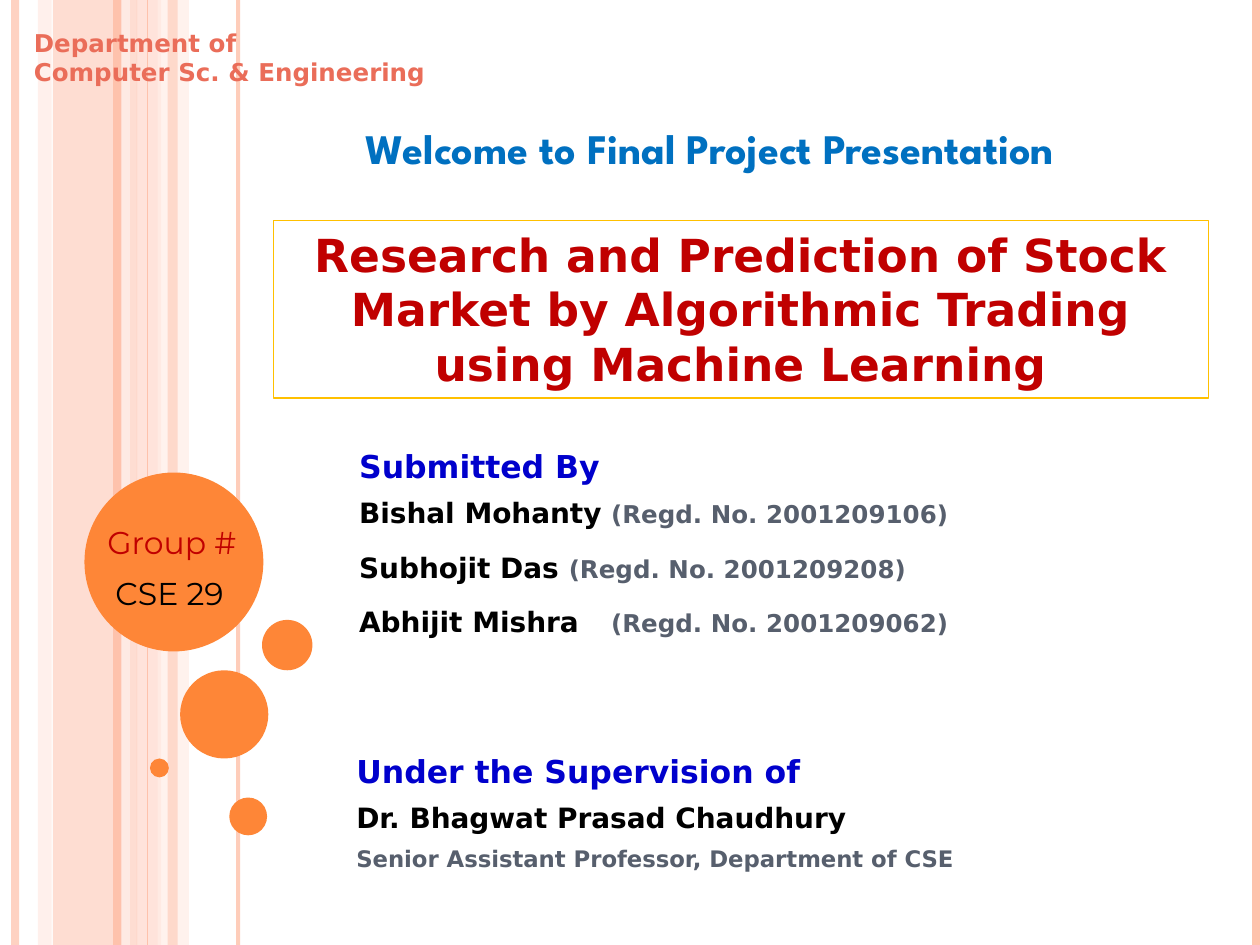
from lxml.etree import SubElement
from pptx import Presentation
from pptx.dml.color import RGBColor
from pptx.enum.shapes import MSO_CONNECTOR, MSO_SHAPE
from pptx.enum.text import MSO_ANCHOR, MSO_AUTO_SIZE, PP_ALIGN
from pptx.oxml.ns import qn
from pptx.util import Inches, Pt

HUES = {"peach": "FEC2AC", "pink": "FFD8CC", "pale": "FFEDE7",
        "orange": "FE8637", "coral": "EA6D59", "navy": "0000CC",
        "sky": "0070C0", "red": "C00000", "gold": "FFC000",
        "slate": "575F6D", "black": "000000", "white": "FFFFFF"}
SANS = "DejaVu Sans"
TALL = 7.5

# left, width, hue, opacity in percent
BANDS = [(0.42, 0.67, "peach", 54), (0.3, 0.11, "pink", 36),
         (1.08, 0.2, "pink", 70), (1.25, 0.25, "pale", 71)]
FRONT = [(1.33, 0.08, "peach", 51)]
# x, points, hue, opacity in percent
RULES = [(0.12, 4.5, "peach", 73), (1, 4.5, "pale", 83),
         (0.93, 4.5, "peach", 100), (1.89, 2.25, "peach", 82),
         (1.17, 0.75, "peach", 100), (9.97, 4.5, "peach", 100)]
# left, top, diameter
DOTS = [(0.67, 3.75, 1.42), (1.43, 5.32, 0.7), (1.19, 6.02, 0.15),
        (1.82, 6.33, 0.3), (2.08, 4.92, 0.4)]
TEAM = [("Bishal Mohanty\t", "2001209106"), ("Subhojit Das ", "2001209208"),
        ("Abhijit Mishra\t", "2001209062")]


def rgb(hue):
    return RGBColor.from_string(HUES[hue])


def paint(fill, hue, alpha=100):
    """Fill with a hue at an opacity in percent."""
    fill.solid()
    fill.fore_color.rgb = rgb(hue)
    if alpha < 100:
        tint = fill._xPr.find(qn("a:solidFill"))[0]
        SubElement(tint, qn("a:alpha"), val=str(alpha * 1000))


def add_form(slide, kind, box, hue, alpha=100):
    form = slide.shapes.add_shape(kind, *map(Inches, box))
    form.shadow.inherit = False
    paint(form.fill, hue, alpha)
    form.line.fill.background()


def add_rule(slide, x, width, hue, alpha):
    rule = slide.shapes.add_connector(
        MSO_CONNECTOR.STRAIGHT, Inches(x), 0, Inches(x), Inches(TALL))
    rule.line.width = Pt(width)
    paint(rule.line.fill, hue, alpha)
    SubElement(rule._element.spPr, qn("a:effectLst"))


def add_bands(slide, bands):
    for left, width, hue, alpha in bands:
        add_form(slide, MSO_SHAPE.RECTANGLE, (left, 0, width, TALL), hue, alpha)


def add_decor(slide):
    add_bands(slide, BANDS)
    for rule in RULES:
        add_rule(slide, *rule)
    add_bands(slide, FRONT)
    for left, top, size in DOTS:
        add_form(slide, MSO_SHAPE.OVAL, (left, top, size, size), "orange")


def style(font, size, hue, face=SANS, bold=True):
    font.size, font.name, font.bold = Pt(size), face, bold
    font.color.rgb = rgb(hue)


def set_frame(shape, anchor=MSO_ANCHOR.TOP):
    frame = shape.text_frame
    frame.word_wrap = True
    frame.auto_size = MSO_AUTO_SIZE.NONE
    frame.vertical_anchor = anchor
    return frame


def set_lines(frame, lines, align=PP_ALIGN.LEFT, face=SANS, bold=True):
    """Write lines given as (text, size, hue, space before)."""
    for i, (text, size, hue, gap) in enumerate(lines):
        para = frame.add_paragraph() if i else frame.paragraphs[0]
        para.text = text
        para.alignment = align
        para.space_before = Pt(gap)
        style(para.font, size, hue, face, bold)


def add_text(slide, box, lines, **look):
    shape = slide.shapes.add_textbox(*map(Inches, box))
    set_lines(set_frame(shape), lines, **look)


def move(shape, box):
    shape.left, shape.top, shape.width, shape.height = map(Inches, box)


def set_title(shape, box):
    move(shape, box)
    shape.line.color.rgb = rgb("gold")
    shape.line.width = Pt(0.75)
    text = ("Research and Prediction of Stock Market by "
            "Algorithmic Trading using Machine Learning")
    set_lines(set_frame(shape), [(text, 26, "red", 0)], align=PP_ALIGN.CENTER)


def set_team(shape, box):
    move(shape, box)
    frame = set_frame(shape)
    set_lines(frame, [("Submitted By", 18, "navy", 0)])
    for i, (name, code) in enumerate(TEAM):
        para = frame.add_paragraph()
        para.alignment = PP_ALIGN.LEFT
        para.space_before = Pt(12 if i else 6)
        for text, size, hue in ((name, 16, "black"),
                                (f"(Regd. No. {code})", 14, "slate")):
            run = para.add_run()
            run.text = text
            style(run.font, size, hue)


def add_badge(slide, left, top):
    look = {"align": PP_ALIGN.CENTER, "face": "Montserrat", "bold": False}
    add_text(slide, (left, top, 1.33, 0.4),
             [("Group #", 18, "red", 0)], **look)
    add_text(slide, (left + 0.02, top + 0.41, 1.25, 0.4),
             [("CSE 29", 18, "black", 0)], **look)


def main():
    deck = Presentation()
    deck.slide_width, deck.slide_height = Inches(10), Inches(TALL)
    slide = deck.slides.add_slide(deck.slide_layouts[0])
    paint(slide.background.fill, "white")
    add_decor(slide)
    set_title(slide.shapes.title, (2.17, 1.75, 7.42, 1.41))
    set_team(slide.placeholders[1], (2.75, 3.5, 6.08, 1.92))
    add_text(slide, (0.17, 0.17, 3.33, 0.57),
             [("Department of", 14, "coral", 0),
              ("Computer Sc. & Engineering", 14, "coral", 0)])
    add_text(slide, (2.44, 0.92, 6.39, 0.5),
             [("Welcome to Final Project Presentation", 24, "sky", 0)],
             align=PP_ALIGN.CENTER, face="League Spartan")
    add_text(slide, (2.73, 5.92, 5.3, 1.17),
             [("Under the Supervision of", 18, "navy", 0),
              ("Dr. Bhagwat Prasad Chaudhury", 16, "black", 6),
              ("Senior Assistant Professor, Department of CSE",
               13, "slate", 6)])
    add_badge(slide, 0.7, 4.1)
    deck.save("out.pptx")


if __name__ == "__main__":
    main()
